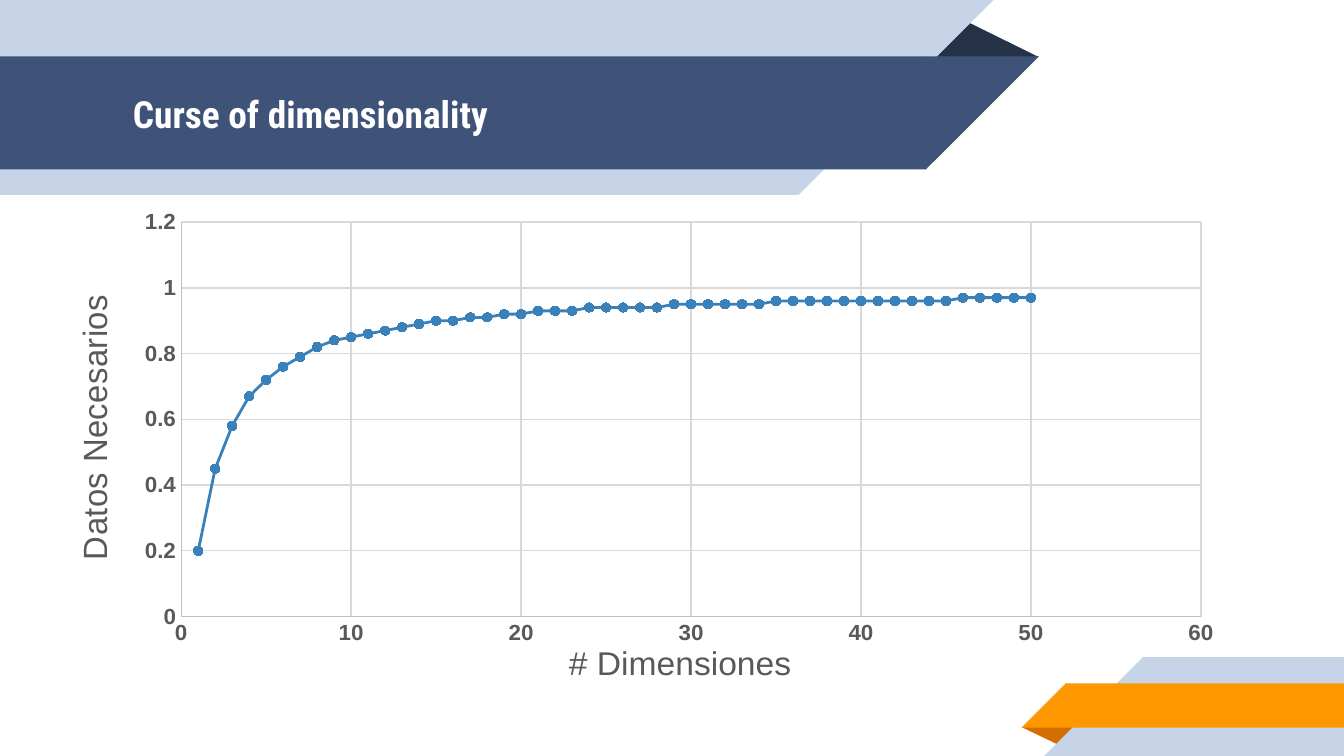
from dataclasses import dataclass

from lxml.etree import SubElement
from pptx import Presentation
from pptx.chart.data import XyChartData
from pptx.dml.color import RGBColor
from pptx.enum.chart import XL_CHART_TYPE, XL_MARKER_STYLE, XL_TICK_MARK
from pptx.enum.shapes import MSO_SHAPE
from pptx.enum.text import MSO_ANCHOR
from pptx.oxml.ns import qn
from pptx.util import Inches, Pt


@dataclass(frozen=True)
class Theme:
    pale: str = "C7D3E6"
    navy: str = "3F5378"
    navy_fold: str = "263248"
    orange: str = "FF9800"
    orange_fold: str = "D26F00"
    white: str = "FFFFFF"
    curve: str = "3A81BA"
    chart_text: str = "595959"
    axis: str = "BFBFBF"
    grid: str = "D9D9D9"
    heading_font: str = "Roboto Condensed"
    chart_font: str = "Arial"
    heading_size: int = 20
    axis_title_size: int = 18
    tick_size: int = 12


def format_font(font, *, name, size, color, bold=False):
    font.name = name
    font.size = Pt(size)
    font.bold = bold
    font.color.rgb = RGBColor.from_string(color)


def format_line(line, color, width):
    line.color.rgb = RGBColor.from_string(color)
    line.width = Pt(width)


def place_in_chart(element, **percents):
    """Fix a chart part's position, given in percent of the chart's size."""
    layout = element.find(qn("c:layout"))
    if layout is None:
        layout = element.makeelement(qn("c:layout"))
        element.insert(0 if element.find(qn("c:tx")) is None else 1, layout)
    manual = SubElement(layout, qn("c:manualLayout"))
    if "w" in percents:
        SubElement(manual, qn("c:layoutTarget")).set("val", "inner")
    for mode in ("xMode", "yMode"):
        SubElement(manual, qn(f"c:{mode}")).set("val", "edge")
    for key, percent in percents.items():
        SubElement(manual, qn(f"c:{key}")).set("val", f"{percent / 100:.4f}")


class SlideBuilder:
    """Draws on a grid of square cells, 100 columns across the slide."""

    columns = 100
    overlap = 0.05

    def __init__(self, presentation, theme):
        self.theme = theme
        self.cell = presentation.slide_width / self.columns
        self.slide = presentation.slides.add_slide(presentation.slide_layouts[6])

    def box(self, *lengths):
        return [round(length * self.cell) for length in lengths]

    def shape(self, kind, box, color, *, rotation=0, mirrored=False):
        shape = self.slide.shapes.add_shape(kind, *self.box(*box))
        shape.shadow.inherit = False
        shape.fill.solid()
        shape.fill.fore_color.rgb = RGBColor.from_string(color)
        shape.line.fill.background()
        shape.rotation = rotation
        if mirrored:
            shape._element.spPr.find(qn("a:xfrm")).set("flipH", "1")
        return shape

    def fold(self, box, color, rotation=0):
        shape = self.shape(MSO_SHAPE.ISOSCELES_TRIANGLE, box, color, rotation=rotation)
        shape.adjustments[0] = 0.32

    def left_ribbon(self, top, height, length, color):
        """Ribbon from the left edge, with a 45 degree end leaning outwards at the top."""
        style = dict(rotation=180, mirrored=True)
        body = (0, top, length + self.overlap, height)
        self.shape(MSO_SHAPE.RECTANGLE, body, color, **style)
        self.shape(MSO_SHAPE.RIGHT_TRIANGLE, (length, top, height, height), color, **style)

    def right_ribbon(self, top, height, tip, color):
        """Ribbon to the right edge, with a 45 degree end whose tip is at the bottom."""
        start = tip + height - self.overlap
        body = (start, top, self.columns - start, height)
        self.shape(MSO_SHAPE.RECTANGLE, body, color, mirrored=True)
        self.shape(MSO_SHAPE.RIGHT_TRIANGLE, (tip, top, height, height), color, mirrored=True)

    def text(self, text, box, **font_format):
        frame = self.slide.shapes.add_textbox(*self.box(*box)).text_frame
        frame.word_wrap = True
        frame.vertical_anchor = MSO_ANCHOR.MIDDLE
        frame.margin_left = frame.margin_right = Inches(0.1)
        frame.margin_top = frame.margin_bottom = Inches(0.1)
        run = frame.paragraphs[0].add_run()
        run.text = text
        format_font(run.font, **font_format)

    def axis(self, axis, title, maximum, step, position, rotation=0):
        theme = self.theme
        axis.minimum_scale, axis.maximum_scale, axis.major_unit = 0, maximum, step
        axis.major_tick_mark = axis.minor_tick_mark = XL_TICK_MARK.NONE
        axis.has_major_gridlines = True
        format_line(axis.major_gridlines.format.line, theme.grid, 0.75)
        format_line(axis.format.line, theme.axis, 0.75)
        text_style = dict(name=theme.chart_font, color=theme.chart_text)
        format_font(axis.tick_labels.font, size=theme.tick_size, bold=True, **text_style)
        axis.tick_labels.number_format = "General"
        axis.tick_labels.number_format_is_linked = False
        frame = axis.axis_title.text_frame
        run = frame.paragraphs[0].add_run()
        run.text = title
        format_font(run.font, size=theme.axis_title_size, **text_style)
        frame._txBody.find(qn("a:bodyPr")).set("rot", str(rotation * 60000))
        place_in_chart(axis.axis_title._element, **position)

    def curve_chart(self, box, points):
        data = XyChartData()
        series_data = data.add_series("Series 1")
        for x, y in points:
            series_data.add_data_point(x, y)
        chart = self.slide.shapes.add_chart(
            XL_CHART_TYPE.XY_SCATTER_LINES, *self.box(*box), data
        ).chart
        chart.has_title = chart.has_legend = False
        chart.font.name = self.theme.chart_font
        plot = chart.plots[0]
        plot.vary_by_categories = False
        series = plot.series[0]
        series.smooth = False
        format_line(series.format.line, self.theme.curve, 1.5)
        marker = series.marker
        marker.style, marker.size = XL_MARKER_STYLE.CIRCLE, 5
        marker.format.fill.solid()
        marker.format.fill.fore_color.rgb = RGBColor.from_string(self.theme.curve)
        format_line(marker.format.line, self.theme.curve, 0.75)
        plot_area = chart._chartSpace.chart.plotArea
        place_in_chart(plot_area, x=13.2, y=12.2, w=81.5, h=75.7)
        self.axis(chart.category_axis, "# Dimensiones", 60, 10, dict(x=43.7, y=91.5))
        self.axis(chart.value_axis, "Datos Necesarios", 1.2, 0.2,
                  dict(x=4, y=26.2), rotation=-90)


def main():
    presentation = Presentation()
    presentation.slide_width = Inches(10)
    presentation.slide_height = presentation.slide_width * 9 // 16
    theme = Theme()
    builder = SlideBuilder(presentation, theme)

    builder.fold((68.8, 1.4, 8.5, 2.85), theme.navy_fold)
    builder.left_ribbon(0, 14.5, 59.4, theme.pale)
    builder.left_ribbon(4.2, 8.4, 68.9, theme.navy)

    builder.fold((76, 54.1, 4.3, 1.4), theme.orange_fold, rotation=180)
    builder.right_ribbon(48.9, 7.35, 77.7, theme.pale)
    builder.right_ribbon(50.85, 3.3, 76, theme.orange)

    builder.text("Curse of dimensionality", (8.9, 4.25, 60.1, 8.4), name=theme.heading_font,
                 size=theme.heading_size, color=theme.white, bold=True)

    share_per_dimension = 0.2
    points = [(n, round(share_per_dimension ** (1 / n), 2)) for n in range(1, 51)]
    builder.curve_chart((1.2, 11.8, 93.1, 39.7), points)

    presentation.save("out.pptx")


if __name__ == "__main__":
    main()
